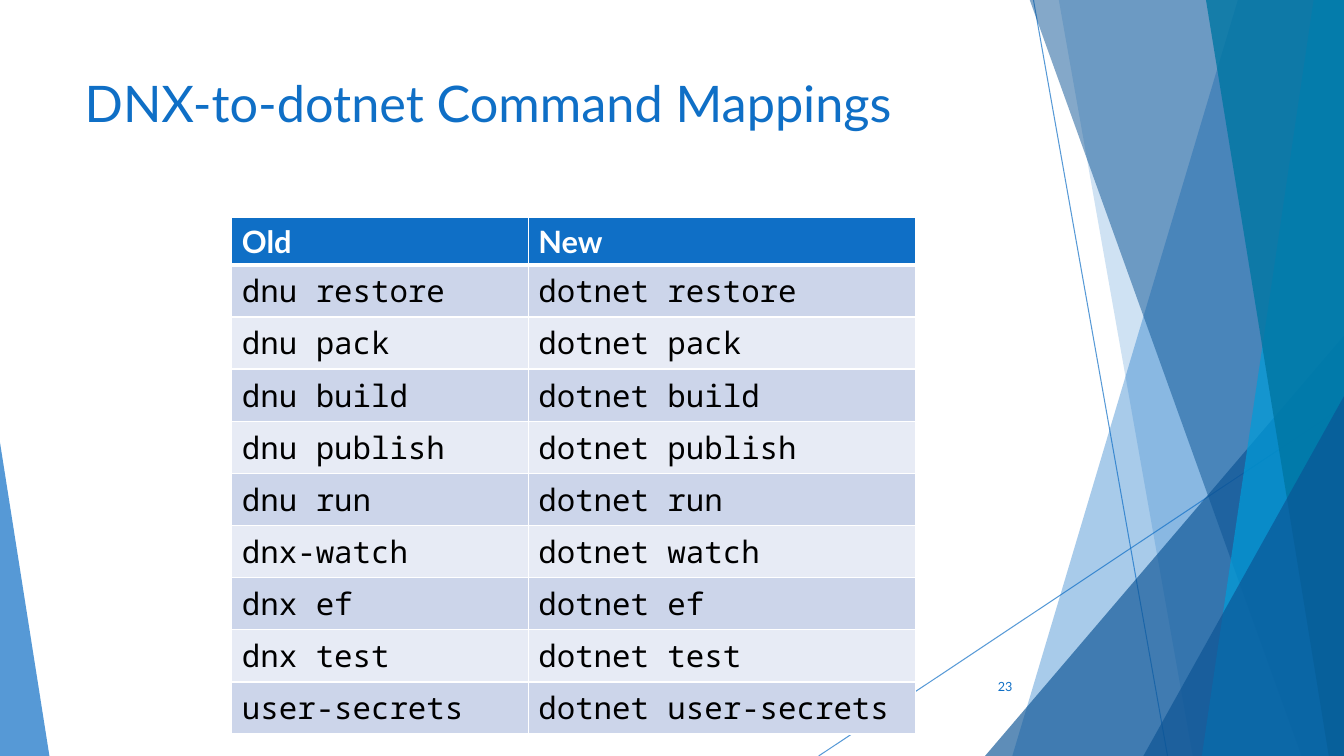
from lxml import etree
from pptx import Presentation
from pptx import util as u
from pptx.dml.color import RGBColor
from pptx.enum import shapes, text
from pptx.oxml import ns

BLUE, NAVY, WHITE = "0F6FC6", "0B5394", "FFFFFF"
W, H = 13.33, 7.5


def paint(fill, color, alpha=100):
    fill.solid()
    fill.fore_color.rgb = RGBColor.from_string(color)
    if alpha < 100:
        clr = fill._xPr.find(".//" + ns.qn("a:srgbClr"))
        etree.SubElement(clr, ns.qn("a:alpha")).set("val", str(alpha * 1000))


def write(tf, content, size, color, font="Lato", bold=False,
          align=text.PP_ALIGN.LEFT, anchor=text.MSO_ANCHOR.TOP):
    tf.word_wrap = True
    tf.vertical_anchor = anchor
    p = tf.paragraphs[0]
    p.alignment = align
    r = p.add_run()
    r.text = content
    r.font.name = font
    r.font.size = u.Pt(size)
    r.font.bold = bold
    paint(r.font.fill, color)


prs = Presentation()
prs.slide_width, prs.slide_height = u.Inches(W), u.Inches(H)
s = prs.slides.add_slide(prs.slide_layouts[5])

for x1, y1, x2, y2 in [(10.25, 0, 11.58, H), (W, 4.03, 8.12, H)]:
    cx = s.shapes.add_connector(shapes.MSO_CONNECTOR.STRAIGHT, u.Inches(x1),
                                u.Inches(y1), u.Inches(x2), u.Inches(y2))
    cx.line.width = u.Pt(0.75)
    paint(cx.line.fill, BLUE, 70)
    etree.SubElement(cx._element.spPr, ns.qn("a:effectLst"))

facets = [
    ("band", (12.28, 10.04), BLUE, 36),
    ("band", (10.5, 11.83), BLUE, 20),
    ("triangle", (9.77, 3.33, W, 1), NAVY, 66),
    ("band", (10.21, 12.91), NAVY, 50),
    ("band", (13.03, 11.92), "009DD9", 70),
    ("band", (11.96, 13.18), "0076A3", 80),
    ("triangle", (11.34, 3.93, W, 1), NAVY, 66),
    ("triangle", (0, 4.39, 0.49, 0), BLUE, 70),
]
for kind, place, color, alpha in facets:
    if kind == "band":
        top, bottom = place
        corners = [(top, -0.01), (W, -0.01), (W, H), (bottom, H)]
        points = [(u.Inches(x), u.Inches(y)) for x, y in corners]
        fb = s.shapes.build_freeform(*points[0])
        fb.add_line_segments(points[1:], close=True)
        sp = fb.convert_to_shape()
    else:
        left, top, right, apex = place
        sp = s.shapes.add_shape(shapes.MSO_SHAPE.ISOSCELES_TRIANGLE, u.Inches(left),
                                u.Inches(top), u.Inches(right - left), u.Inches(H - top))
        sp.adjustments[0] = apex
    paint(sp.fill, color, alpha)
    sp.line.fill.background()
    sp.shadow.inherit = False

title = s.shapes.title
title.left, title.top = u.Inches(0.74), u.Inches(0.67)
title.width, title.height = u.Inches(9.4), u.Inches(1.44)
write(title.text_frame, "DNX-to-dotnet Command Mappings", 36, BLUE)
s.shapes._spTree.append(title._element)

commands = [
    ("Old", "New"),
    ("dnu restore", "dotnet restore"),
    ("dnu pack", "dotnet pack"),
    ("dnu build", "dotnet build"),
    ("dnu publish", "dotnet publish"),
    ("dnu run", "dotnet run"),
    ("dnx-watch", "dotnet watch"),
    ("dnx ef", "dotnet ef"),
    ("dnx test", "dotnet test"),
    ("user-secrets", "dotnet user-secrets"),
]
widths = [2.94, 3.84]
row_h = 0.41
table = s.shapes.add_table(len(commands), 2, u.Inches(2.3), u.Inches(2.16),
                           u.Inches(sum(widths)), u.Inches(row_h * len(commands))).table
for col, width in zip(table.columns, widths):
    col.width = u.Inches(width)
for i, row in enumerate(commands):
    table.rows[i].height = u.Inches(row_h)
    for j, command in enumerate(row):
        cell = table.cell(i, j)
        if i == 0:
            write(cell.text_frame, command, 22, WHITE, bold=True)
            paint(cell.fill, BLUE)
        else:
            write(cell.text_frame, command, 22, "000000", font="Noto Sans Mono")
            paint(cell.fill, "CCD5EA" if i % 2 else "E7EBF5")
        tcPr = cell._tc.get_or_add_tcPr()
        for k, side in enumerate("LRTB"):
            thick = (i, side) in [(0, "B"), (1, "T")]
            ln = etree.Element(ns.qn("a:ln" + side), w=str(u.Pt(3 if thick else 1)))
            solid = etree.SubElement(ln, ns.qn("a:solidFill"))
            etree.SubElement(solid, ns.qn("a:srgbClr")).set("val", WHITE)
            tcPr.insert(k, ln)

number = s.shapes.add_textbox(u.Inches(9.39), u.Inches(6.61), u.Inches(0.75), u.Inches(0.4))
write(number.text_frame, "23", 9, BLUE, align=text.PP_ALIGN.RIGHT,
      anchor=text.MSO_ANCHOR.MIDDLE)

prs.save("out.pptx")
